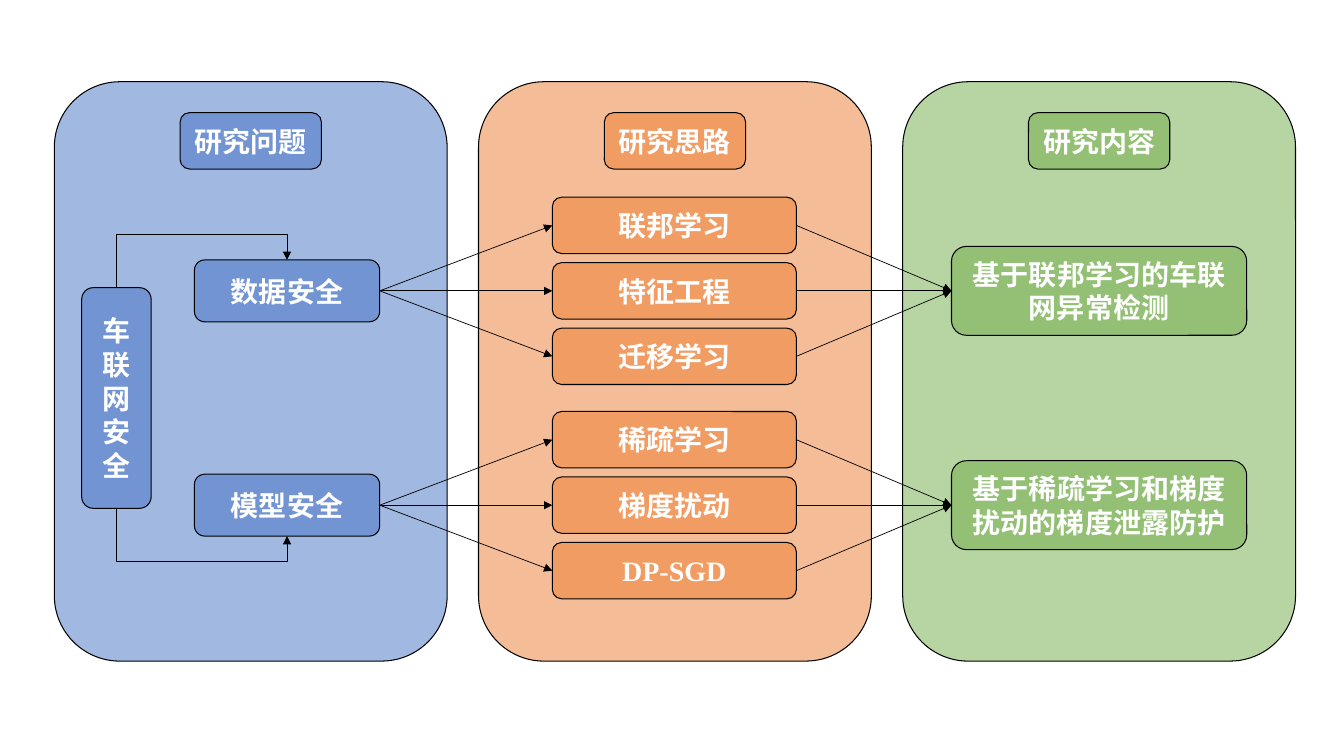
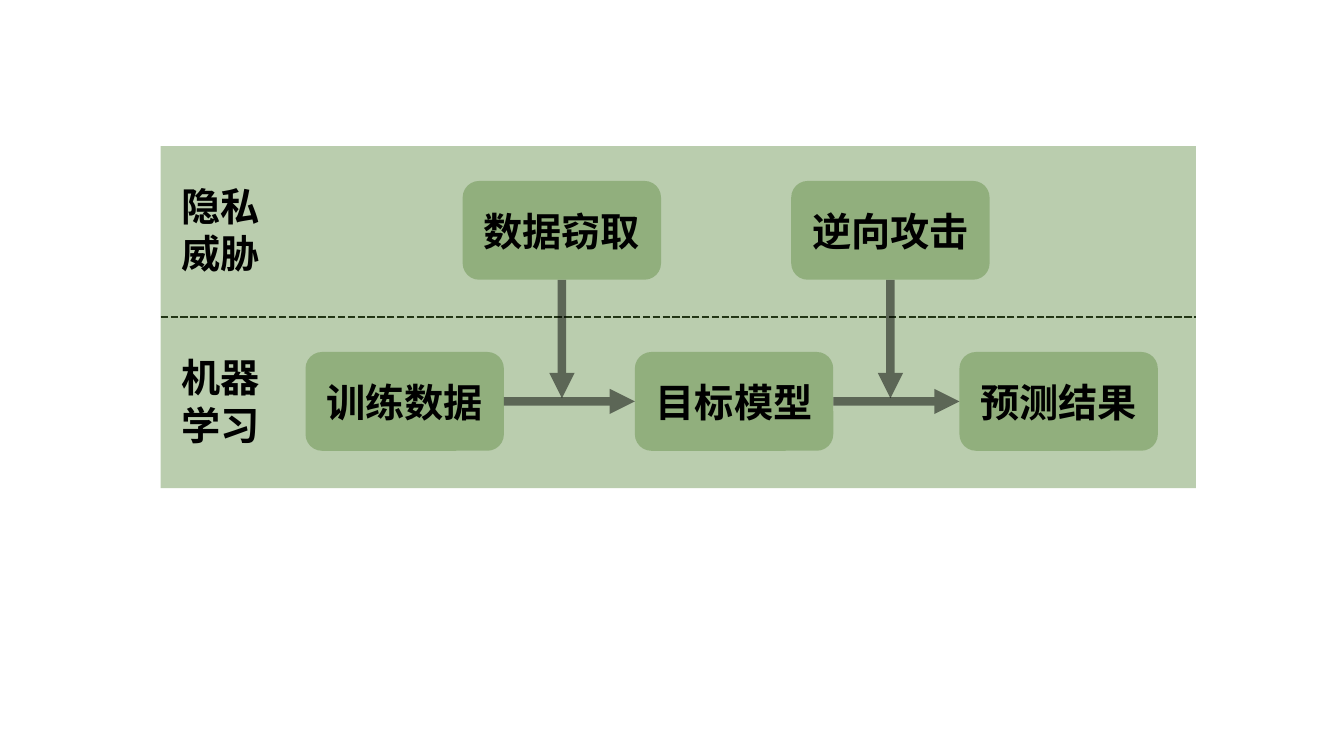
import pptx
import pptx.dml.color
import pptx.enum.dml
import pptx.enum.shapes
import pptx.enum.text
import pptx.oxml.ns
import pptx.util
from lxml import etree

Cm = pptx.util.Cm
qn = pptx.oxml.ns.qn
SHAPES = pptx.enum.shapes.MSO_SHAPE
CONNECTORS = pptx.enum.shapes.MSO_CONNECTOR

FONT = "Times New Roman"
BLUE, ORANGE, GREEN, DARK_GREEN = "4472C4", "ED7D31", "70AD47", "548235"
BLACK, WHITE = "000000", "FFFFFF"

PANELS = [("研究问题", BLUE), ("研究思路", ORANGE), ("研究内容", GREEN)]
TOPICS = [
    ("数据安全", ["联邦学习", "特征工程", "迁移学习"], "基于联邦学习的车联网异常检测"),
    ("模型安全", ["稀疏学习", "梯度扰动", "DP-SGD"], "基于稀疏学习和梯度扰动的梯度泄露防护"),
]


def set_color(color_format, color, opacity=100):
    color_format.rgb = pptx.dml.color.RGBColor.from_string(color)
    if opacity < 100:
        node = color_format._xFill.find(qn("a:srgbClr"))
        etree.SubElement(node, qn("a:alpha"), val=str(opacity * 1000))


def write_text(shape, text, size, color, alignment):
    text_frame = shape.text_frame
    text_frame.word_wrap = True
    text_frame.text = text
    paragraph = text_frame.paragraphs[0]
    paragraph.alignment = alignment
    font = paragraph.runs[0].font
    font.name, font.size, font.bold = FONT, pptx.util.Pt(size), True
    set_color(font.color, color)


def add_block(slide, kind, left, top, width, height, color, opacity, outlined=False):
    shape = slide.shapes.add_shape(kind, Cm(left), Cm(top), Cm(width), Cm(height))
    shape.shadow.inherit = False
    shape.fill.solid()
    set_color(shape.fill.fore_color, color, opacity)
    if outlined:
        set_color(shape.line.color, BLACK)
        shape.line.width = pptx.util.Pt(0.75)
    else:
        shape.line.fill.background()
    return shape


def add_research_box(slide, left, center, width, height, color, text=None):
    shape = add_block(slide, SHAPES.ROUNDED_RECTANGLE, left, center - height / 2,
                      width, height, color, 50, outlined=True)
    if text:
        write_text(shape, text, 20, WHITE, pptx.enum.text.PP_ALIGN.CENTER)


def add_line(slide, start, end, width, opacity=100, arrow=True,
             kind=CONNECTORS.STRAIGHT):
    connector = slide.shapes.add_connector(kind, *map(Cm, (*start, *end)))
    connector.line.width = pptx.util.Pt(width)
    connector.line.fill.solid()
    set_color(connector.line.color, BLACK, opacity)
    properties = connector._element.spPr
    if arrow:
        etree.SubElement(properties.find(qn("a:ln")), qn("a:tailEnd"), type="triangle")
    etree.SubElement(properties, qn("a:effectLst"))
    return connector


def add_elbow(slide, start, end, overshoot):
    (start_x, start_y), (end_x, end_y) = start, end
    upward = end_y < start_y
    center_x, center_y = (start_x + end_x) / 2, (start_y + end_y) / 2
    half_width = abs(end_y - start_y) / 2
    half_height = (end_x - start_x) / 2 * (1 if upward else -1)
    connector = add_line(
        slide,
        (center_x + half_width, center_y + half_height),
        (center_x - half_width, center_y - half_height),
        0.5, kind=CONNECTORS.ELBOW)
    properties = connector._element.spPr
    properties.find(qn("a:xfrm")).set("rot", str((90 if upward else 270) * 60000))
    geometry = properties.find(qn("a:prstGeom"))
    adjustments = geometry.find(qn("a:avLst"))
    if adjustments is None:
        adjustments = etree.SubElement(geometry, qn("a:avLst"))
    ratio = 1 + overshoot / (2 * half_width)
    etree.SubElement(adjustments, qn("a:gd"), name="adj1",
                     fmla=f"val {round(ratio * 100000)}")


def build_research_slide(slide):
    for index, (heading, color) in enumerate(PANELS):
        left = 1.37 + index * 10.69
        add_research_box(slide, left, 9.36, 9.9, 14.6, color)
        add_research_box(slide, left + 3.17, 3.55, 3.56, 1.42, color, heading)

    root_left, root_width, root_height, middle = 2.06, 1.75, 5.56, 10.03
    problem_left, problem_width, problem_height = 4.9, 4.67, 1.56
    method_left, method_width, method_step = 13.92, 6.15, 1.65
    content_left = 23.98
    add_research_box(slide, root_left, middle, root_width, root_height, BLUE, "车联网安全")

    for side, (problem, methods, content) in zip((-1, 1), TOPICS):
        center = middle + side * 2.7
        add_research_box(slide, problem_left, center, problem_width, problem_height,
                         BLUE, problem)
        add_research_box(slide, content_left, center, 7.44, 2.24, GREEN, content)
        for index, method in enumerate(methods):
            method_center = center + (index - 1) * method_step
            add_research_box(slide, method_left, method_center, method_width, 1.42,
                             ORANGE, method)
            add_line(slide, (problem_left + problem_width, center),
                     (method_left, method_center), 0.5)
            add_line(slide, (method_left + method_width, method_center),
                     (content_left, center), 0.5)
        add_elbow(slide,
                  (root_left + root_width / 2, middle + side * root_height / 2),
                  (problem_left + problem_width / 2, center + side * problem_height / 2),
                  0.63)


def add_stage(slide, left, top, width, height, text):
    shape = add_block(slide, SHAPES.ROUNDED_RECTANGLE, left, top, width, height,
                      DARK_GREEN, 40)
    write_text(shape, text, 28, BLACK, pptx.enum.text.PP_ALIGN.CENTER)


def add_band_label(slide, left, top, text):
    label = slide.shapes.add_textbox(Cm(left), Cm(top), Cm(2.69), Cm(2.64))
    write_text(label, text, 28, BLACK, pptx.enum.text.PP_ALIGN.LEFT)
    label.text_frame.auto_size = pptx.enum.text.MSO_AUTO_SIZE.SHAPE_TO_FIT_TEXT


def build_threat_slide(slide):
    band_left, band_top, band_width, band_height = 4.05, 3.68, 26.09, 4.31
    stage_width, stage_height, stage_offset = 5, 2.49, 0.88
    bands = [
        ("隐私威胁", [(11.66, "数据窃取"), (19.94, "逆向攻击")]),
        ("机器学习", [(7.7, "训练数据"), (16, "目标模型"), (24.18, "预测结果")]),
    ]
    divider_y = band_top + band_height
    divider = add_line(slide, (band_left, divider_y),
                       (band_left + band_width, divider_y), 1.75, arrow=False)
    divider.line.dash_style = pptx.enum.dml.MSO_LINE.SQUARE_DOT

    for index, (label, stages) in enumerate(bands):
        top = band_top + index * band_height
        add_block(slide, SHAPES.RECTANGLE, band_left, top, band_width, band_height,
                  DARK_GREEN, 40)
        add_band_label(slide, 4.33, top + 0.8, label)
        for left, text in stages:
            add_stage(slide, left, top + stage_offset, stage_width, stage_height, text)

    threats, steps = (stages for _, stages in bands)
    flow_y = divider_y + stage_offset + stage_height / 2
    for (left, _), (next_left, _) in zip(steps, steps[1:]):
        add_line(slide, (left + stage_width, flow_y), (next_left, flow_y), 6, 50)
    for left, _ in threats:
        x = left + stage_width / 2
        add_line(slide, (x, band_top + stage_offset + stage_height),
                 (x, flow_y - 0.08), 6, 50)


def main():
    presentation = pptx.Presentation()
    presentation.slide_width = Cm(33.87)
    presentation.slide_height = Cm(19.05)
    for build in (build_research_slide, build_threat_slide):
        build(presentation.slides.add_slide(presentation.slide_layouts[6]))
    presentation.save("out.pptx")


if __name__ == "__main__":
    main()
